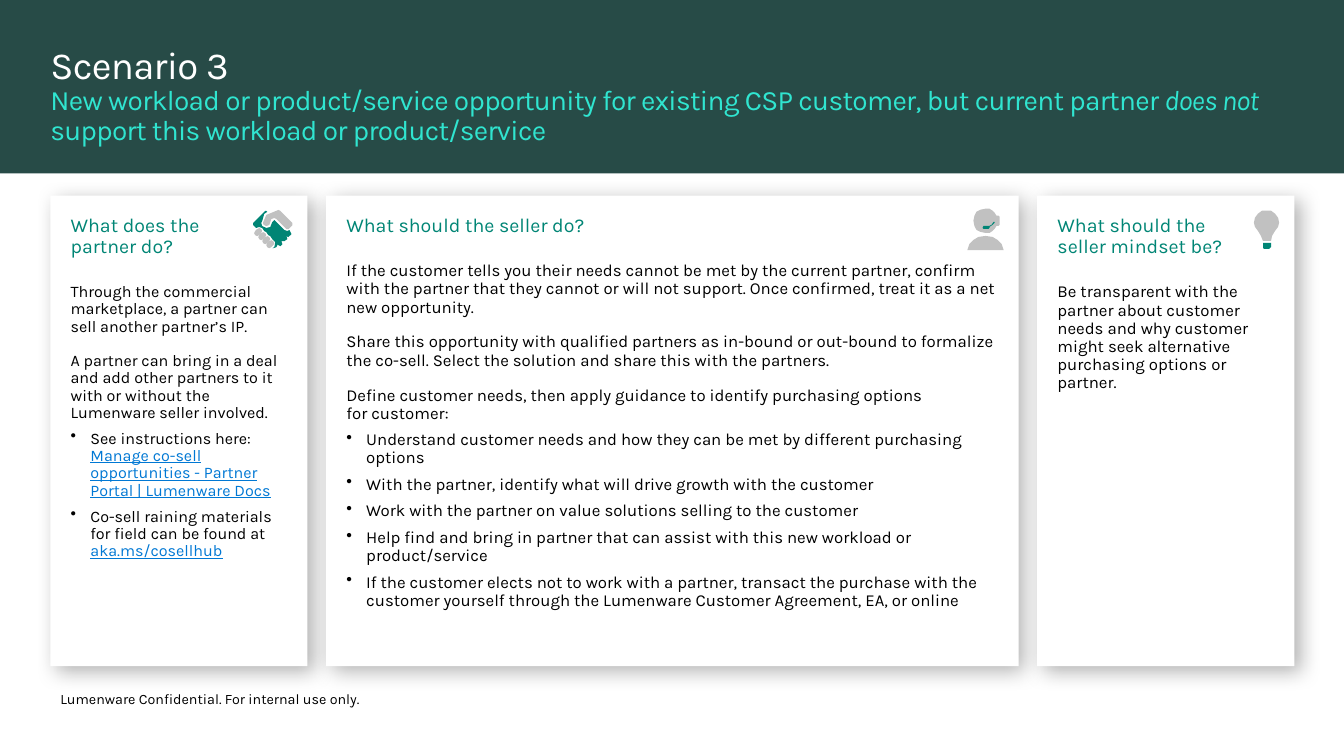
from dataclasses import dataclass
from typing import NamedTuple

from lxml import etree
from pptx import Presentation
from pptx.dml.color import RGBColor
from pptx.enum.shapes import MSO_SHAPE as Preset
from pptx.enum.text import MSO_ANCHOR as Anchor, MSO_AUTO_SIZE as AutoSize, PP_ALIGN as Align
from pptx.oxml.ns import qn
from pptx.util import Cm, Pt

FONT = "Karla"
DARK_GREEN = RGBColor(0x27, 0x4B, 0x47)
GREEN = RGBColor(0x00, 0x85, 0x75)
AQUA = RGBColor(0x30, 0xE5, 0xD0)
LINK_BLUE = RGBColor(0x00, 0x78, 0xD4)
GREY = RGBColor(0xC1, 0xC1, 0xC1)
BLACK = RGBColor(0x00, 0x00, 0x00)
WHITE = RGBColor(0xFF, 0xFF, 0xFF)

LEFT, HEADING_WIDTH = 1.27, 31.39
CARD_TOP, CARD_HEIGHT, CARD_GAP, CARD_INSET = 4.93, 11.86, 0.47, 0.51
ICON_UNIT = Cm(2.54) / 100


class Span(NamedTuple):
    text: str
    link: bool = False


class Item(NamedTuple):
    spans: list[Span]
    after: float = 12
    bullet: bool = False


@dataclass
class Card:
    width: float
    heading: str
    size: float
    items: list[Item]


class Outline(NamedTuple):
    colour: RGBColor
    points: list[tuple[int, int]]


@dataclass
class Icon:
    left: float
    top: float
    outlines: list[Outline]


CARDS = [
    Card(6.48, "What does the\npartner do?", 11.5, [
        Item([Span("Through the commercial marketplace, a partner can sell another partner’s IP.")]),
        Item([Span("A partner can bring in a deal and add other partners to it with or without the "
                   "Lumenware seller involved.")], 6),
        Item([Span("See instructions here: "),
              Span("Manage co-sell opportunities - Partner Portal | Lumenware Docs", True)], 6, True),
        Item([Span("Co-sell raining materials for field can be found at "),
              Span("aka.ms/cosellhub", True)], 12, True),
    ]),
    Card(17.45, "What should the seller do?", 12, [
        Item([Span("If the customer tells you their needs cannot be met by the current partner, confirm "
                   "with the partner that they cannot or will not support. Once confirmed, treat it as "
                   "a net new opportunity.")]),
        Item([Span("Share this opportunity with qualified partners as in-bound or out-bound to formalize "
                   "the co-sell. Select the solution and share this with the partners.")]),
        Item([Span("Define customer needs, then apply guidance to identify purchasing options\n"
                   "for customer:")], 6),
        Item([Span("Understand customer needs and how they can be met by different purchasing options")],
             6, True),
        Item([Span("With the partner, identify what will drive growth with the customer")], 6, True),
        Item([Span("Work with the partner on value solutions selling to the customer")], 6, True),
        Item([Span("Help find and bring in partner that can assist with this new workload or "
                   "product/service")], 6, True),
        Item([Span("If the customer elects not to work with a partner, transact the purchase with the "
                   "customer yourself through the Lumenware Customer Agreement, EA, or online")], 12, True),
    ]),
    Card(6.48, "What should the\nseller mindset be?", 12, [
        Item([Span("Be transparent with the partner about customer needs and why customer might seek "
                   "alternative purchasing options or partner.")]),
    ]),
]

# Icon outlines, in hundredths of an inch from the icon's corner
FINGER = [(20, 35), (18, 37), (16, 38), (14, 37), (13, 35), (14, 33),
          (16, 31), (18, 30), (20, 31), (21, 33)]
HANDSHAKE = Icon(6.38, 5.29, [
    Outline(GREEN, [
        (37, 22), (36, 20), (34, 21), (31, 20), (21, 10), (19, 12), (17, 17), (13, 18), (9, 16),
        (8, 13), (9, 11), (11, 4), (14, 2), (13, 1), (12, 1), (0, 13), (0, 15), (3, 18), (6, 17),
        (9, 18), (11, 21), (13, 22), (15, 25), (17, 26), (19, 29), (22, 32), (21, 37), (19, 38),
        (20, 38), (23, 37), (24, 35), (23, 34), (27, 36), (29, 34), (28, 31), (31, 31), (34, 29),
        (33, 26), (35, 27), (38, 24)]),
    *(Outline(GREY, [(x - shift, y - shift) for x, y in FINGER]) for shift in range(0, 16, 4)),
    Outline(GREY, [
        (25, 0), (13, 5), (10, 12), (10, 14), (11, 15), (13, 16), (16, 15), (17, 12), (18, 9),
        (21, 8), (23, 9), (33, 19), (35, 19), (39, 15), (39, 13), (27, 1)]),
])
AGENT = Icon(24.38, 5.26, [
    Outline(GREY, [
        (9, 21), (13, 23), (18, 24), (22, 24), (25, 22), (27, 20), (29, 17), (31, 17), (32, 16),
        (32, 8), (31, 7), (29, 7), (27, 4), (25, 2), (22, 0), (18, 0), (13, 1), (9, 3), (7, 7),
        (6, 12), (7, 17)]),
    Outline(GREY, [(34, 35), (30, 31), (25, 28), (18, 27), (11, 28), (6, 31), (2, 35), (0, 41), (36, 41)]),
    Outline(GREEN, [
        (16, 17), (21, 17), (22, 17), (24, 16), (26, 13), (27, 13), (27, 14), (25, 16), (22, 18),
        (22, 19), (21, 20), (17, 20), (16, 20), (15, 19)]),
])
BULB = Icon(31.6, 5.31, [
    Outline(GREY, [
        (17, 30), (18, 25), (21, 20), (24, 16), (25, 12), (24, 7), (21, 3), (17, 0), (13, 0), (8, 0),
        (4, 3), (1, 7), (0, 12), (1, 16), (4, 20), (7, 25), (9, 30)]),
    Outline(GREEN, [(15, 38), (16, 37), (17, 36), (17, 32), (9, 32), (9, 36), (9, 37), (10, 38)]),
])


def add_span(para, text: str, size: float, colour: RGBColor, spacing: int = 0):
    for number, line in enumerate(text.split("\n")):
        if number:
            para.add_line_break()
        span = para.add_run()
        span.text = line
        span.font.name = FONT
        span.font.size = Pt(size)
        span.font.color.rgb = colour
        if spacing:
            span.font._element.set("spc", str(spacing))
    return span


def set_bullet(para, indent: float, char: str = "") -> None:
    props = para._p.get_or_add_pPr()
    props.set("marL", str(Cm(indent)))
    props.set("indent", str(Cm(-indent)))
    if char:
        etree.SubElement(props, qn("a:buChar"), char=char)
    else:
        etree.SubElement(props, qn("a:buNone"))


def format_para(para, after: float = 0, leading: float = 0.9) -> None:
    para.alignment = Align.LEFT
    para.line_spacing = leading
    para.space_before = Pt(0)
    para.space_after = Pt(after)


def set_frame(box, inset: float, anchor=Anchor.TOP, right: float | None = None):
    frame = box.text_frame
    frame.word_wrap = True
    frame.auto_size = AutoSize.NONE
    frame.vertical_anchor = anchor
    frame.margin_left = frame.margin_top = frame.margin_bottom = Cm(inset)
    frame.margin_right = Cm(inset if right is None else right)
    return frame


def place(box, left: float, top: float, width: float, height: float) -> None:
    box.left, box.top, box.width, box.height = Cm(left), Cm(top), Cm(width), Cm(height)


def paint(shape, colour: RGBColor) -> None:
    shape.shadow.inherit = False
    shape.fill.solid()
    shape.fill.fore_color.rgb = colour
    shape.line.fill.background()


def add_panel(page, left: float, top: float, width: float, height: float, colour: RGBColor):
    panel = page.shapes.add_shape(Preset.RECTANGLE, Cm(left), Cm(top), Cm(width), Cm(height))
    paint(panel, colour)
    return panel


def add_card(page, card: Card, left: float) -> None:
    box = add_panel(page, left, CARD_TOP, card.width, CARD_HEIGHT, WHITE)
    effects = box._element.spPr.find(qn("a:effectLst"))
    shadow = etree.SubElement(effects, qn("a:outerShdw"), blurRad=str(Pt(15)), dist=str(Pt(6)),
                              dir="2400000", algn="tl", rotWithShape="0")
    tint = etree.SubElement(shadow, qn("a:srgbClr"), val=str(BLACK))
    etree.SubElement(tint, qn("a:alpha"), val="30000")
    frame = set_frame(box, CARD_INSET)
    para = frame.paragraphs[0]
    format_para(para, 18)
    add_span(para, card.heading, 14, GREEN)
    for item in card.items:
        para = frame.add_paragraph()
        if item.bullet:
            set_bullet(para, 0.5, "•")
        format_para(para, item.after)
        for text, link in item.spans:
            span = add_span(para, text, card.size, LINK_BLUE if link else BLACK)
            span.font.underline = link


def add_icon(page, icon: Icon) -> None:
    for colour, points in icon.outlines:
        builder = page.shapes.build_freeform(*points[0], scale=ICON_UNIT)
        builder.add_line_segments(points[1:], close=True)
        paint(builder.convert_to_shape(Cm(icon.left), Cm(icon.top)), colour)


def main() -> None:
    deck = Presentation()
    deck.slide_width, deck.slide_height = Cm(33.87), Cm(19.05)
    page = deck.slides.add_slide(deck.slide_layouts[1])

    # Header band, behind the title and subtitle
    band = add_panel(page, 0, 0, 33.87, 4.37, DARK_GREEN)
    page.shapes.element.insert(2, band.element)
    title, subtitle = page.shapes.title, page.placeholders[1]
    place(title, LEFT, 1.09, HEADING_WIDTH, 1.12)
    para = set_frame(title, 0, Anchor.MIDDLE).paragraphs[0]
    format_para(para, leading=Pt(31.4))
    add_span(para, "Scenario 3", 27.4, WHITE, -50)
    place(subtitle, LEFT, 2.18, HEADING_WIDTH, 0.76)
    para = set_frame(subtitle, 0, right=0.41).paragraphs[0]
    set_bullet(para, 0)
    format_para(para)
    for text, italic in [
        ("New workload or product/service opportunity for existing CSP customer, but current partner ", False),
        ("does not", True), (" support this workload or product/service", False),
    ]:
        add_span(para, text, 20, AQUA, -50).font.italic = italic

    # Cards, left to right, and their icons
    left = LEFT
    for card in CARDS:
        add_card(page, card, left)
        left += card.width + CARD_GAP
    for icon in (HANDSHAKE, AGENT, BULB):
        add_icon(page, icon)

    # Confidentiality line
    footer = page.shapes.add_textbox(Cm(LEFT), Cm(17.35), Cm(11.66), Cm(1.04))
    para = set_frame(footer, 0.25).paragraphs[0]
    footer.text_frame.margin_top = Cm(0.13)
    format_para(para, leading=0.8)
    add_span(para, "Lumenware Confidential. For internal use only.", 10.2, BLACK)

    deck.save("out.pptx")


if __name__ == "__main__":
    main()
